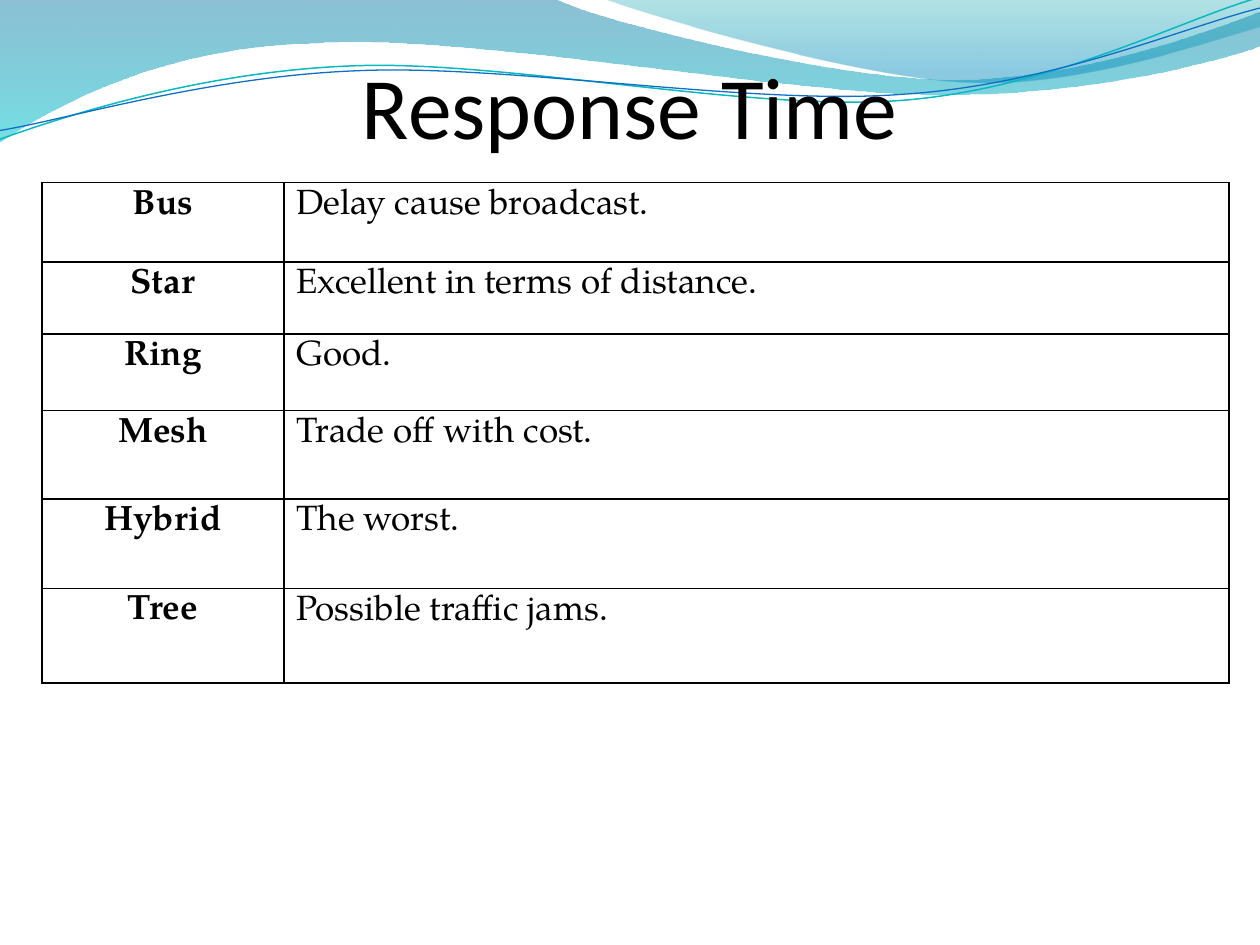
"""Build the Response Time slide: a wave header above a table of network topologies."""
from lxml.etree import SubElement
from pptx import Presentation
from pptx.dml.color import RGBColor
from pptx.enum.text import MSO_ANCHOR, PP_ALIGN
from pptx.oxml import parse_xml
from pptx.oxml.ns import nsdecls, qn
from pptx.util import Inches, Pt

BLACK = RGBColor(0x00, 0x00, 0x00)
DEEP_BLUE = RGBColor(0x00, 0x74, 0xA1)
CYAN = RGBColor(0x00, 0xC6, 0xCF)
TEAL = RGBColor(0x00, 0xA1, 0xA9)
SKY = RGBColor(0x00, 0x8B, 0xBF)
LINE_TEAL = RGBColor(0x0A, 0xB8, 0xBF)
LINE_BLUE = RGBColor(0x0F, 0x6F, 0xC6)

deck = Presentation()
deck.slide_width, deck.slide_height = Inches(10), Inches(7.5)
slide = deck.slides.add_slide(deck.slide_layouts[6])
COL = deck.slide_width / 10
ROW = deck.slide_height / 7.5


def draw_outline(start, segments, close):
    """Draw straight (one point) and cubic (three points) segments."""
    builder = slide.shapes.build_freeform(start[0] * COL, start[1] * ROW)
    points = [(x * COL, y * ROW) for segment in segments for x, y in segment]
    builder.add_line_segments(points, close=close)
    outline = builder.convert_to_shape()
    outline.shadow.inherit = False
    steps = iter(list(outline._element.iter(qn("a:lnTo"))))
    for segment in segments:
        legs = [next(steps) for point in segment]
        if len(legs) == 3:
            curve = parse_xml(f'<a:cubicBezTo {nsdecls("a")}/>')
            legs[0].addprevious(curve)
            for leg in legs:
                curve.append(leg[0])
                leg.getparent().remove(leg)
    return outline


def format_text(paragraph, text, align, font_format):
    """Fill a paragraph with one formatted run."""
    paragraph.alignment = align
    run = paragraph.add_run()
    run.text = text
    for name, value in font_format.items():
        setattr(run.font, name, value)
    run.font.color.rgb = BLACK


BANDS = [
    ((0, 0), [
        ((4.4, -0.01),),
        ((4.76, 0.17), (6.64, 0.63), (7.58, 0.63)),
        ((8.53, 0.63), (9.58, 0.26), (10, 0.09)),
        ((10.01, 0.36),),
        ((9.83, 0.44), (8.7, 0.76), (7.46, 0.75)),
        ((6.22, 0.75), (3.82, 0.28), (2.57, 0.34)),
        ((1.29, 0.36), (0.46, 0.83), (-0.01, 1.13)),
        ((0, 0),),
    ], [(0, DEEP_BLUE, 45), (1, CYAN, 55)]),
    ((4.79, -0.01), [
        ((5.09, 0.11), (6.82, 0.62), (7.69, 0.65)),
        ((8.56, 0.69), (9.61, 0.32), (10, 0.21)),
        ((10, 0),),
        ((4.79, -0.01),),
    ], [(0, TEAL, 30), (0.8, SKY, 45)]),
]
for start, segments, stops in BANDS:
    band = draw_outline(start, segments, True)
    band.line.fill.background()
    band.fill.gradient()
    band.fill.gradient_angle = 270
    for stop, (position, color, opacity) in zip(band.fill.gradient_stops, stops):
        stop.position = position
        stop.color.rgb = color
    color_tags = band._element.spPr.iter(qn("a:srgbClr"))
    for color_tag, (position, color, opacity) in zip(color_tags, stops):
        SubElement(color_tag, qn("a:alpha")).set("val", str(opacity * 1000))

WAVES = [
    ((-0.02, 0.87), [
        ((0.47, 0.72), (1.58, 0.41), (2.78, 0.42)),
        ((3.96, 0.42), (5.91, 0.93), (7.12, 0.9)),
        ((8.32, 0.87), (9.4, 0.36), (10, 0.22)),
    ], LINE_TEAL, 0.85),
    ((-0.02, 0.8), [
        ((0.46, 0.75), (1.64, 0.45), (2.83, 0.46)),
        ((4.03, 0.46), (5.96, 0.89), (7.16, 0.85)),
        ((8.35, 0.83), (9.42, 0.42), (10.02, 0.3)),
    ], LINE_BLUE, 0.75),
]
for start, segments, color, width in WAVES:
    wave = draw_outline(start, segments, False)
    wave.rotation = 357.3
    wave.fill.background()
    wave.line.color.rgb = color
    wave.line.width = Pt(width)

title = slide.shapes.add_textbox(int(0.5 * COL), 0, int(9 * COL), int(1.25 * ROW)).text_frame
TITLE_FRAME = {
    "word_wrap": True, "vertical_anchor": MSO_ANCHOR.BOTTOM,
    "margin_left": 0, "margin_top": Inches(0.05), "margin_right": 0, "margin_bottom": 0,
}
for name, value in TITLE_FRAME.items():
    setattr(title, name, value)
format_text(title.paragraphs[0], "Response Time", PP_ALIGN.CENTER, {"name": "Calibri", "size": Pt(50)})

TOPOLOGIES = [
    ("Bus", "Delay cause broadcast.", 0.63),
    ("Star", "Excellent in terms of distance.", 0.57),
    ("Ring", "Good.", 0.61),
    ("Mesh", "Trade off with cost.", 0.7),
    ("Hybrid", "The worst.", 0.71),
    ("Tree", "Possible traffic jams.", 0.75),
]
COLUMN_WIDTHS = (1.92, 7.5)
CELL_FORMAT = {
    "margin_left": Inches(0.1), "margin_right": Inches(0.1),
    "margin_top": Inches(0.05), "margin_bottom": Inches(0.05),
    "vertical_anchor": MSO_ANCHOR.TOP,
}
table_height = sum(height for name, rating, height in TOPOLOGIES)
ratings = slide.shapes.add_table(
    len(TOPOLOGIES), len(COLUMN_WIDTHS), int(COL / 3), int(1.45 * ROW),
    int(sum(COLUMN_WIDTHS) * COL), int(table_height * ROW)).table
ratings.first_row = ratings.horz_banding = False
for column, width in zip(ratings.columns, COLUMN_WIDTHS):
    column.width = int(width * COL)
for row, (topology, rating, height) in zip(ratings.rows, TOPOLOGIES):
    row.height = int(height * ROW)
    entries = [(topology, PP_ALIGN.CENTER, True), (rating, PP_ALIGN.LEFT, False)]
    for cell, (text, align, bold) in zip(row.cells, entries):
        for name, value in CELL_FORMAT.items():
            setattr(cell, name, value)
        properties = cell._tc.get_or_add_tcPr()
        for side in "LRTB":
            properties.append(parse_xml(
                f'<a:ln{side} {nsdecls("a")} w="{Pt(1)}"><a:solidFill>'
                f'<a:srgbClr val="{BLACK}"/></a:solidFill></a:ln{side}>'))
        cell.fill.background()
        format_text(cell.text_frame.paragraphs[0], text, align,
                    {"name": "TeX Gyre Pagella", "size": Pt(20), "bold": bold})

deck.save("out.pptx")
